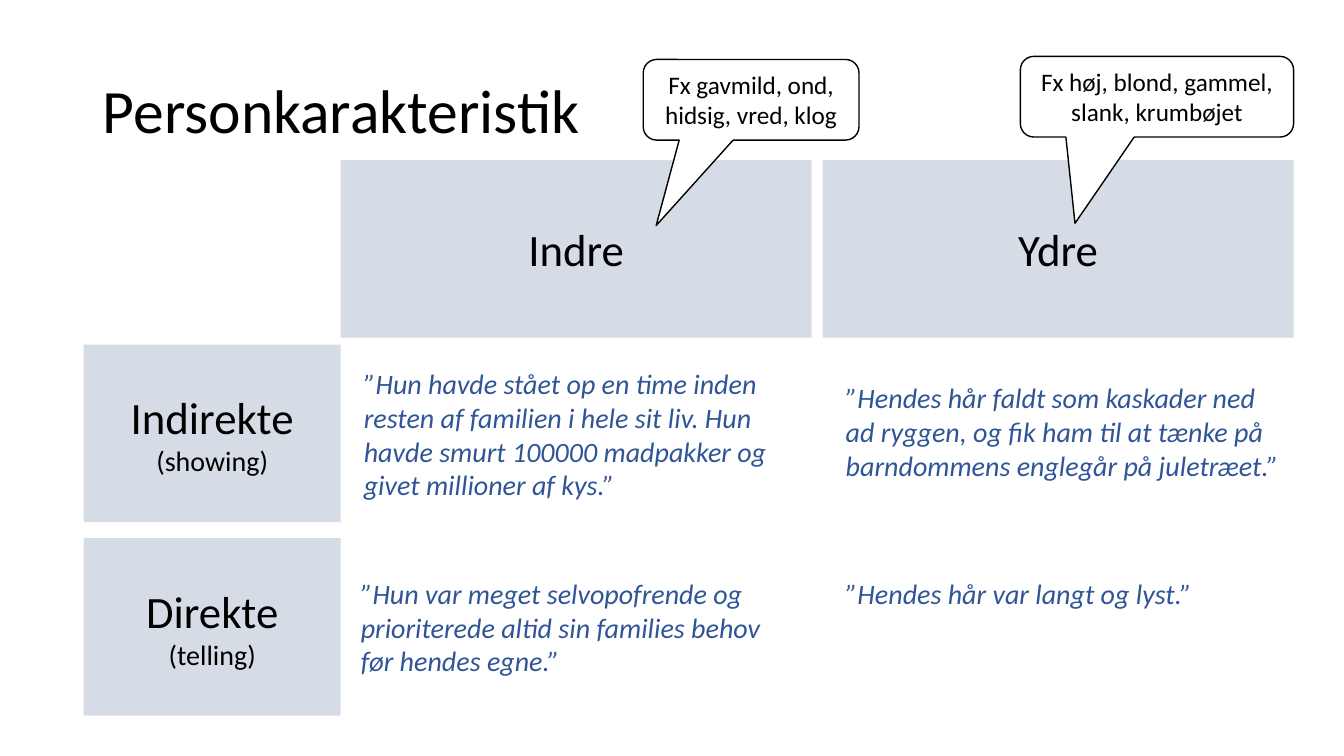
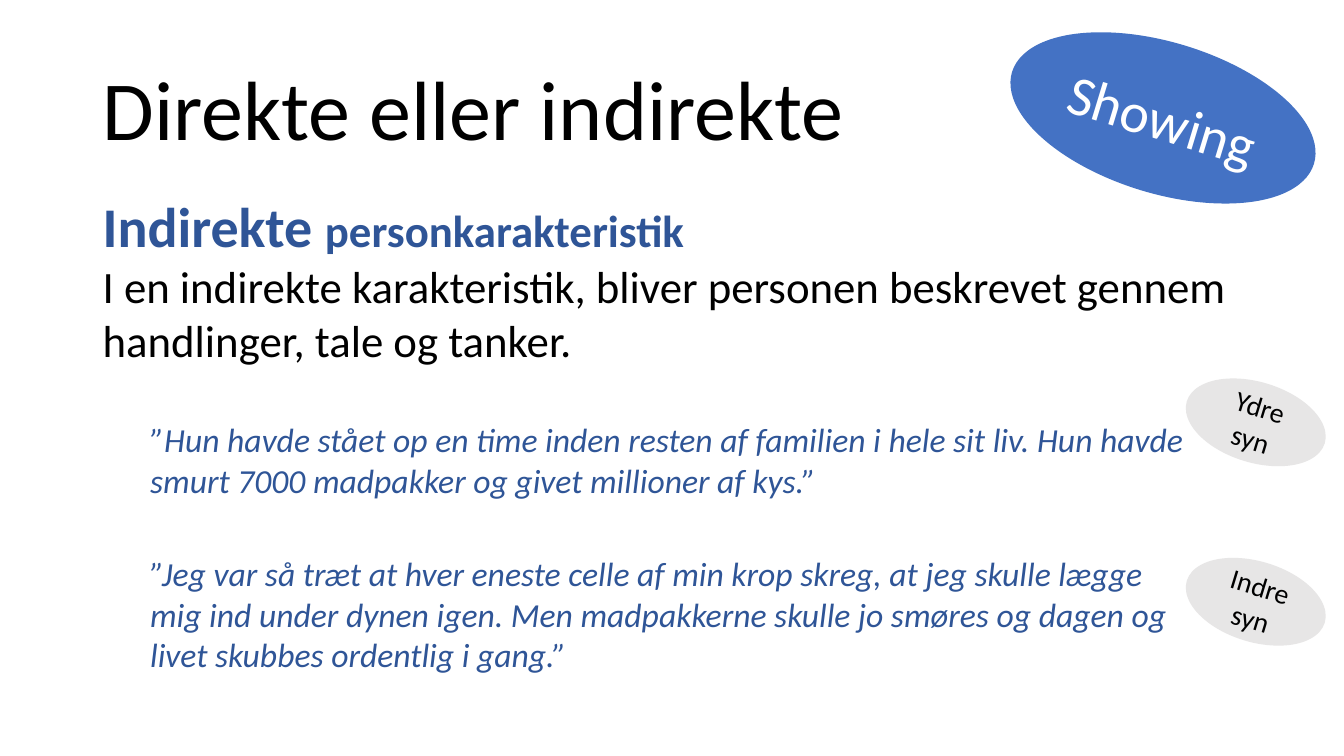
from pptx import Presentation
from pptx.dml.color import RGBColor
from pptx.enum.shapes import MSO_SHAPE
from pptx.enum.text import MSO_ANCHOR, MSO_AUTO_SIZE, PP_ALIGN
from pptx.util import Pt

PX = 9144  # 100 px to the inch
FONT = "Calibri"
BLACK, WHITE = "000000", "FFFFFF"
NAVY, BLUE, PALE, GREY = "2F5597", "4472C4", "D6DCE5", "E7E6E6"
TITLE = (92, 40, 1150, 145)
TILT = 16.9


def rgb(code):
    return RGBColor.from_string(code)


def scale(box):
    return [n * PX for n in box]


def write(frame, paras, align=PP_ALIGN.LEFT, anchor=MSO_ANCHOR.TOP):
    """Fill a frame with paragraphs, each a list of (text, size, colour, style) runs."""
    frame.word_wrap = True
    frame.auto_size = MSO_AUTO_SIZE.NONE
    frame.vertical_anchor = anchor
    for i, runs in enumerate(paras):
        para = frame.add_paragraph() if i else frame.paragraphs[0]
        para.alignment = align
        for text, size, color, style in runs:
            run = para.add_run()
            run.text = text
            font = run.font
            font.name, font.size = FONT, Pt(size)
            font.color.rgb = rgb(color)
            font.bold, font.italic = style == "bold", style == "italic"


def add_page(deck, text, size):
    page = deck.slides.add_slide(deck.slide_layouts[5])
    title = page.shapes.title
    title.left, title.top, title.width, title.height = scale(TITLE)
    write(title.text_frame, [[(text, size, BLACK, "")]], anchor=MSO_ANCHOR.MIDDLE)
    title.text_frame.paragraphs[0].line_spacing = 0.9
    return page


def add_text(page, box, paras):
    write(page.shapes.add_textbox(*scale(box)).text_frame, paras)


def add_quote(page, box, text, size):
    add_text(page, box, [[(text, size, NAVY, "italic")]])


def add_form(page, kind, box, fill, lines, color=BLACK):
    """Place a filled shape with centred (text, size) lines."""
    form = page.shapes.add_shape(kind, *scale(box))
    form.shadow.inherit = False
    form.fill.solid()
    form.fill.fore_color.rgb = rgb(fill)
    form.line.fill.background()
    write(form.text_frame, [[(text, size, color, "")] for text, size in lines],
          PP_ALIGN.CENTER, MSO_ANCHOR.MIDDLE)
    return form


def add_bubble(page, box, text, tip):
    form = add_form(page, MSO_SHAPE.ROUNDED_RECTANGULAR_CALLOUT, box, WHITE, [(text, 18)])
    form.line.color.rgb = rgb(BLACK)
    form.line.width = Pt(1)
    for i, value in enumerate(tip):
        form.adjustments[i] = value


def add_oval(page, box, text, size, fill, color=BLACK):
    form = add_form(page, MSO_SHAPE.OVAL, box, fill, [(text, size)], color)
    form.rotation = TILT


def add_grid(page, left, top, cols, rows, quotes):
    """Place column heads, row heads and quotes; quote offsets count from their cell."""
    side, wide, high = 255, 467, 176
    col_step, row_step, head_step = 478, 192, 183
    for i, name in enumerate(cols):
        box = (left + side + i * col_step, top, wide, high)
        add_form(page, MSO_SHAPE.RECTANGLE, box, PALE, [(name, 32)])
    for i, (name, note) in enumerate(rows):
        box = (left, top + head_step + i * row_step, side, high)
        add_form(page, MSO_SHAPE.RECTANGLE, box, PALE, [(name, 32), (note, 20)])
    for row, col, dx, dy, width, height, text in quotes:
        x = left + side + col * col_step + dx
        y = top + head_step + row * row_step + dy
        add_quote(page, (x, y, width, height), text, 20)


def build_matrix(deck):
    page = add_page(deck, "Personkarakteristik", 44)
    add_grid(
        page, 83, 159, ["Indre", "Ydre"],
        [("Indirekte", "(showing)"), ("Direkte", "(telling)")],
        [(0, 0, 13, 17, 441, 145,
          "”Hun havde stået op en time inden resten af familien i hele sit liv. "
          "Hun havde smurt 100000 madpakker og givet millioner af kys.”"),
         (0, 1, 13, 31, 454, 111,
          "”Hendes hår faldt som kaskader ned ad ryggen, og fik ham til at tænke på "
          "barndommens englegår på juletræet.”"),
         (1, 0, 10, 33, 441, 111,
          "”Hun var meget selvopofrende og prioriterede altid sin families behov "
          "før hendes egne.”"),
         (1, 1, 13, 33, 454, 44, "”Hendes hår var langt og lyst.”")])
    add_bubble(page, (638, 59, 214, 80), "Fx gavmild, ond, hidsig, vred, klog", (-0.44, 1.56))
    add_bubble(page, (1012, 56, 271, 80), "Fx høj, blond, gammel, slank, krumbøjet", (-0.3, 1.57))


def build_showing(deck):
    page = add_page(deck, "Direkte eller indirekte", 60)
    add_text(page, (92, 185, 1176, 185), [
        [("Indirekte ", 40, NAVY, "bold"), ("personkarakteristik", 32, NAVY, "bold")],
        [("I en indirekte karakteristik, bliver personen beskrevet gennem handlinger, "
          "tale og tanker.", 32, BLACK, "")]])
    add_oval(page, (997, 42, 313, 150), "Showing", 40, BLUE, WHITE)
    for top, height, oval, label, text in (
        (411, 91, 379, "Ydre syn",
         "”Hun havde stået op en time inden resten af familien i hele sit liv. "
         "Hun havde smurt 7000 madpakker og givet millioner af kys.”"),
        (544, 131, 557, "Indre syn",
         "”Jeg var så træt at hver eneste celle af min krop skreg, at jeg skulle lægge "
         "mig ind under dynen igen. Men madpakkerne skulle jo smøres og dagen og livet "
         "skubbes ordentlig i gang.”"),
    ):
        add_quote(page, (139, top, 1055, height), text, 24)
        add_oval(page, (1174, oval, 143, 80), label, 20, GREY)


def main():
    deck = Presentation()
    deck.slide_width, deck.slide_height = scale((1333, 750))
    build_matrix(deck)
    build_showing(deck)
    deck.save("out.pptx")


if __name__ == "__main__":
    main()
